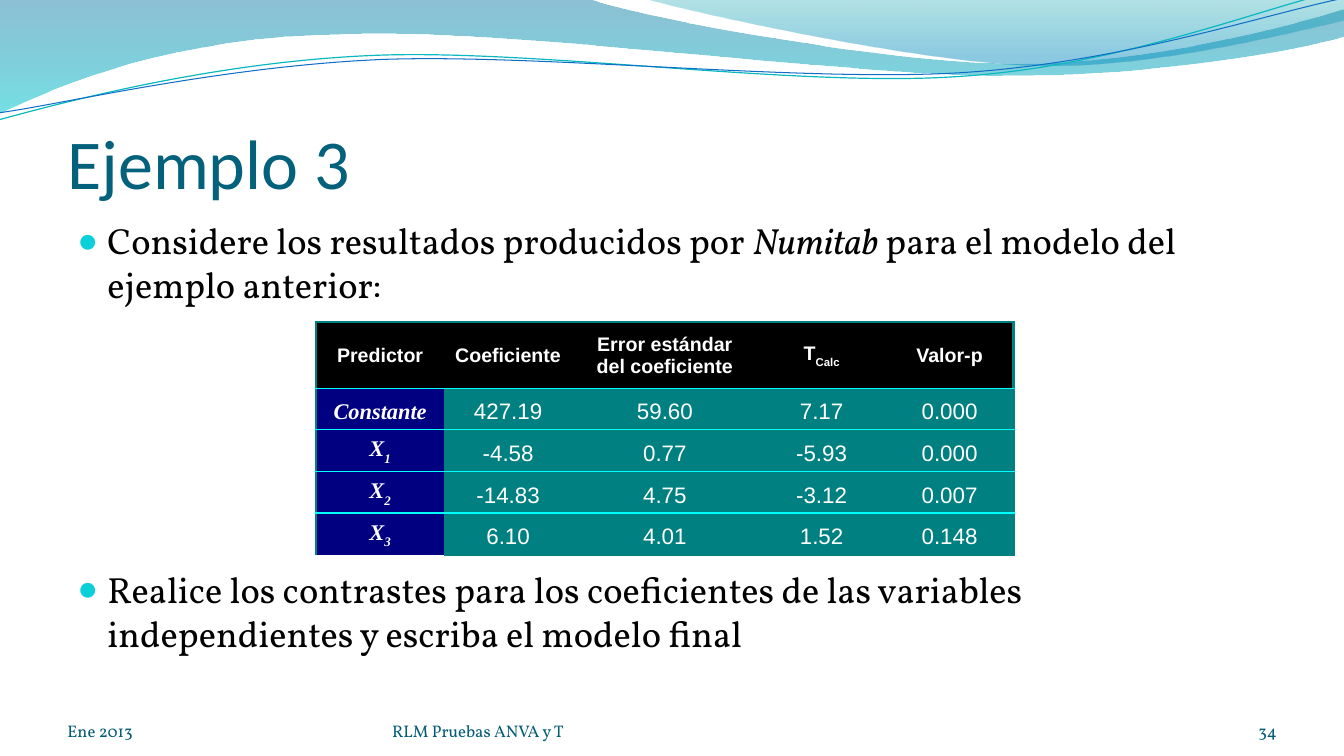
from dataclasses import dataclass
from lxml import etree
from pptx import Presentation
from pptx import util as u
from pptx.dml.color import RGBColor
from pptx.enum import text
from pptx.oxml import ns


@dataclass(frozen=True)
class Theme:
    title: str = "04617B"
    foot: str = "045D75"
    ink: str = "000000"
    white: str = "FFFFFF"
    dot: str = "0BD0D9"
    navy: str = "000080"
    teal: str = "008080"
    cyan: str = "00FFFF"
    aqua: str = "0AB8BF"
    blue: str = "0F6FC6"
    back: tuple = ((0, "0074A1", 45), (1, "00C6CF", 55))
    front: tuple = ((0, "00A1A9", 30), (0.8, "008BBF", 45))
    head: str = "Calibri"
    body: str = "Vollkorn"
    sans: str = "Arial"
    serif: str = "Times New Roman"
    big: int = 50
    main: int = 26
    cell: int = 16
    label: int = 14
    small: int = 12


T = Theme()
WIDE, HIGH = 33.87, 19.05
LEFT, SPAN = 1.7, 30.48

BACK = [[(0, 0)], [(14.91, -0.02)],
        [(16.1, 0.43), (22.48, 1.6), (25.68, 1.6)],
        [(28.91, 1.6), (32.46, 0.66), (33.86, 0.23)], [(33.91, 0.91)],
        [(33.3, 1.12), (29.46, 1.93), (25.25, 1.9)],
        [(21.06, 1.9), (12.93, 0.71), (8.71, 0.86)],
        [(4.37, 0.91), (1.55, 2.11), (-0.03, 2.87)]]
FRONT = [[(16.23, -0.03)],
         [(17.25, 0.28), (23.09, 1.57), (26.04, 1.65)],
         [(28.98, 1.75), (32.56, 0.81), (33.86, 0.53)], [(33.86, 0)]]
UPPER = [[(-0.03, 3.02)],
         [(1.63, 2.57), (5.36, 1.57), (9.37, 1.4)],
         [(13.39, 1.22), (20.07, 2.21), (24.13, 1.93)],
         [(28.19, 1.68), (31.8, 0.2), (33.81, -0.25)]]
LOWER = [[(0, 2.84)],
         [(1.6, 2.62), (5.54, 1.68), (9.6, 1.5)],
         [(13.64, 1.35), (20.22, 2.08), (24.26, 1.83)],
         [(28.32, 1.57), (31.88, 0.36), (33.88, -0.05)]]

HEADS = ["Predictor", "Coeficiente", "Error estándar del coeficiente",
         "T_Calc", "Valor-p"]
ROWS = [["Constante", "427.19", "59.60", "7.17", "0.000"],
        ["X_1", "-4.58", "0.77", "-5.93", "0.000"],
        ["X_2", "-14.83", "4.75", "-3.12", "0.007"],
        ["X_3", "6.10", "4.01", "1.52", "0.148"]]


def rgb(tone):
    return RGBColor.from_string(tone)


def node(home, tag, **attrs):
    item = etree.SubElement(home, ns.qn("a:" + tag))
    for key, value in attrs.items():
        item.set(key, str(value))
    return item


def add_run(para, words, face, size, tone, bold=False, slant=False, base=0):
    run = para.add_run()
    run.text = words
    font = run.font
    font.name, font.size = face, u.Pt(size)
    font.bold, font.italic = bold, slant
    font.color.rgb = rgb(tone)
    if base:
        font._element.set("baseline", str(base))


def add_curve(slide, parts, close):
    spots = [(u.Cm(x), u.Cm(y)) for part in parts for x, y in part]
    pen = slide.shapes.build_freeform(*spots[0])
    pen.add_line_segments(spots[1:], close=close)
    shape = pen.convert_to_shape()
    shape.shadow.inherit = False
    steps = iter(list(shape._element.iter(ns.qn("a:lnTo"))))
    for part in parts[1:]:
        group = [next(steps) for _ in part]
        if len(group) == 3:
            bend = etree.Element(ns.qn("a:cubicBezTo"))
            group[0].addprevious(bend)
            for step in group:
                bend.append(step[0])
                step.getparent().remove(step)
    return shape


def add_wave(slide, parts, stops):
    shape = add_curve(slide, parts, True)
    shape.line.fill.background()
    shape.fill.gradient()
    shape.fill.gradient_angle = 270
    for stop, (place, tone, _) in zip(shape.fill.gradient_stops, stops):
        stop.position = place
        stop.color.rgb = rgb(tone)
    tints = shape._element.spPr.iter(ns.qn("a:srgbClr"))
    for tint, (_, _, alpha) in zip(tints, stops):
        node(tint, "alpha", val=alpha * 1000)


def add_line(slide, parts, tone, width):
    shape = add_curve(slide, parts, False)
    shape.fill.background()
    shape.line.color.rgb = rgb(tone)
    shape.line.width = u.Pt(width)


def add_title(slide, words):
    title = slide.shapes.title
    title.left, title.top = u.Cm(LEFT), u.Cm(1.96)
    title.width, title.height = u.Cm(SPAN), u.Cm(3.17)
    frame = title.text_frame
    frame.auto_size = text.MSO_AUTO_SIZE.NONE
    frame.vertical_anchor = text.MSO_ANCHOR.BOTTOM
    frame.margin_left = frame.margin_right = frame.margin_bottom = 0
    frame.margin_top = u.Cm(0.13)
    para = frame.paragraphs[0]
    para.alignment = text.PP_ALIGN.LEFT
    add_run(para, words, T.head, T.big, T.title)


def add_box(slide, left, top, width, height):
    box = slide.shapes.add_textbox(*map(u.Cm, (left, top, width, height)))
    box.text_frame.word_wrap = True
    return box.text_frame


def add_point(para, gap, parts):
    para.space_before = u.Pt(gap)
    props = para._p.get_or_add_pPr()
    props.set("marL", str(u.Cm(0.76)))
    props.set("indent", str(u.Cm(-0.76)))
    node(node(props, "buClr"), "srgbClr", val=T.dot)
    node(props, "buSzPct", val=95000)
    node(props, "buFont", typeface=T.sans)
    node(props, "buChar", char="●")
    for words, slant in parts:
        add_run(para, words, T.body, T.main, T.ink, slant=slant)


def add_foot(slide, left, width, words, align):
    frame = add_box(slide, left, 17.65, width, 1.02)
    frame.margin_left = frame.margin_right = 0
    frame.margin_top = frame.margin_bottom = 0
    frame.vertical_anchor = text.MSO_ANCHOR.BOTTOM
    frame.paragraphs[0].alignment = align
    add_run(frame.paragraphs[0], words, T.body, T.small, T.foot)


def set_edge(cell, side, tone, width):
    line = node(cell._tc.get_or_add_tcPr(), "ln" + side, w=u.Pt(width))
    node(node(line, "solidFill"), "srgbClr", val=tone)


def fill_cell(cell, words, row, col, last):
    outer, inner = (T.teal, 2), (T.cyan, 1)
    if col == 0:
        set_edge(cell, "L", *outer)
    if col == last[1]:
        set_edge(cell, "R", *outer)
    set_edge(cell, "T", *(outer if row == 0 else inner))
    if row < last[0]:
        set_edge(cell, "B", *inner)
    elif col:
        set_edge(cell, "B", *outer)
    head, side = row == 0, row > 0 and col == 0
    cell.fill.solid()
    cell.fill.fore_color.rgb = rgb(T.ink if head else T.navy if side else T.teal)
    anchor = text.MSO_ANCHOR
    cell.vertical_anchor = anchor.MIDDLE if head else anchor.BOTTOM
    para = cell.text_frame.paragraphs[0]
    para.alignment = text.PP_ALIGN.CENTER
    for part, base in zip(words.split("_"), (0, -30000)):
        add_run(para, part, T.serif if side else T.sans,
                T.label if head else T.cell, T.white,
                bold=head or side, slant=side, base=base)


def add_grid(slide, left, top, widths, heights, data):
    size = len(heights), len(widths)
    spot = map(u.Cm, (left, top, sum(widths), sum(heights)))
    grid = slide.shapes.add_table(*size, *spot).table
    grid.first_row = grid.horz_banding = False
    style = grid._tbl.tblPr.find(ns.qn("a:tableStyleId"))
    style.text = "{2D5ABB26-0587-4C30-8999-92F81FD0307C}"
    for col, width in zip(grid.columns, widths):
        col.width = u.Cm(width)
    for row, height in zip(grid.rows, heights):
        row.height = u.Cm(height)
    last = size[0] - 1, size[1] - 1
    for r, row in enumerate(data):
        for c, words in enumerate(row):
            fill_cell(grid.cell(r, c), words, r, c, last)


def main():
    deck = Presentation()
    deck.slide_width, deck.slide_height = u.Cm(WIDE), u.Cm(HIGH)
    slide = deck.slides.add_slide(deck.slide_layouts[5])
    add_wave(slide, BACK, T.back)
    add_wave(slide, FRONT, T.front)
    add_line(slide, UPPER, T.aqua, 0.85)
    add_line(slide, LOWER, T.blue, 0.75)
    add_title(slide, "Ejemplo 3")
    frame = add_box(slide, LEFT, 5.38, SPAN, 12.19)
    add_point(frame.paragraphs[0], 5.2,
              [("Considere los resultados producidos por ", False),
               ("Numitab", True),
               (" para el modelo del ejemplo anterior: ", False)])
    add_point(frame.add_paragraph(), 186.7,
              [("Realice los contrastes para los coeficientes de las "
                "variables independientes y escriba el modelo final", False)])
    add_grid(slide, 7.97, 8.12, [3.22, 3.23, 4.67, 3.23, 3.22],
             [1.67] + [1.03] * 4, [HEADS] + ROWS)
    align = text.PP_ALIGN
    add_foot(slide, LEFT, 7.9, "Ene 2013", align.LEFT)
    add_foot(slide, 9.88, 12.42, "RLM Pruebas ANVA y T", align.LEFT)
    add_foot(slide, 29.36, 2.82, "34", align.RIGHT)
    deck.save("out.pptx")


main()
